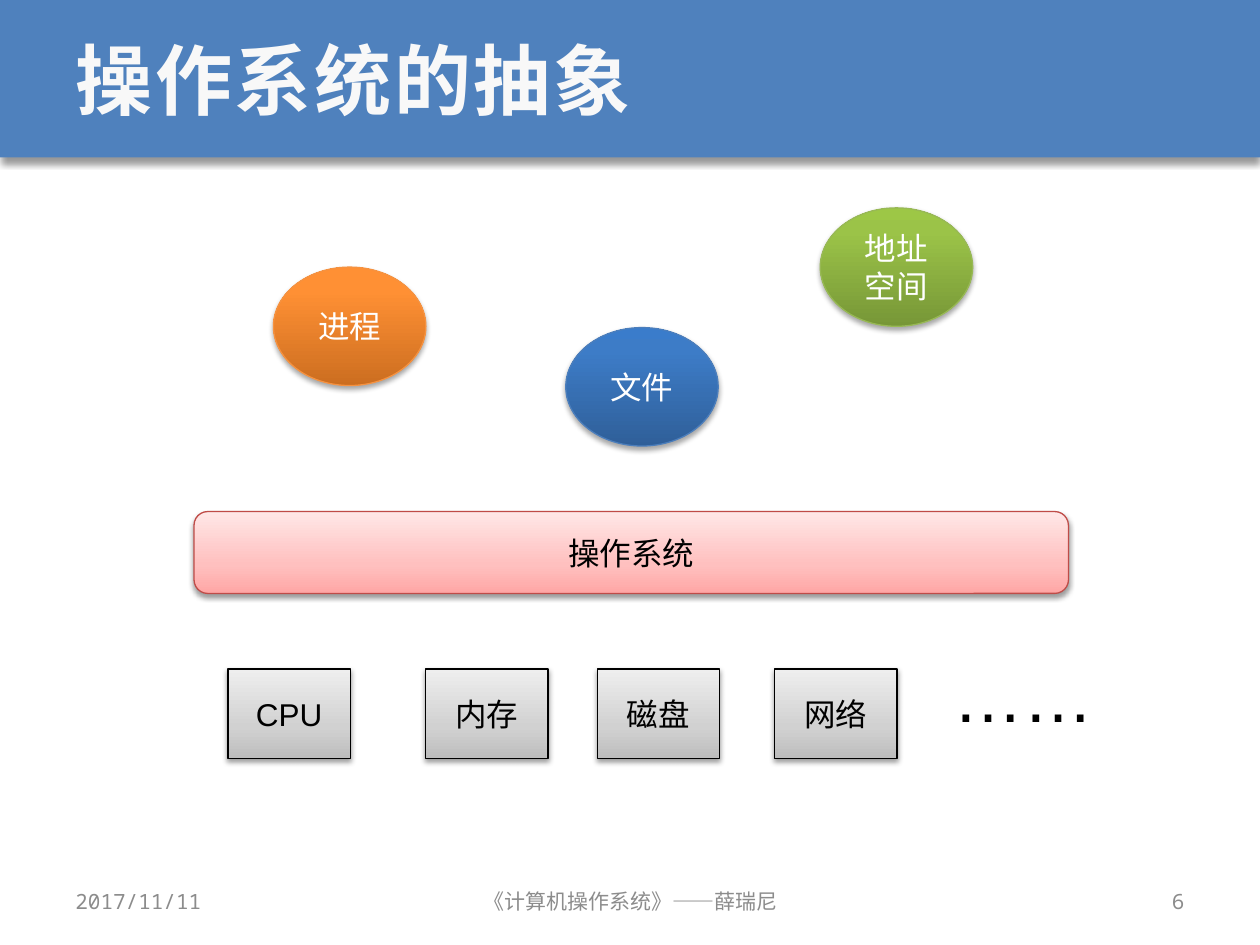
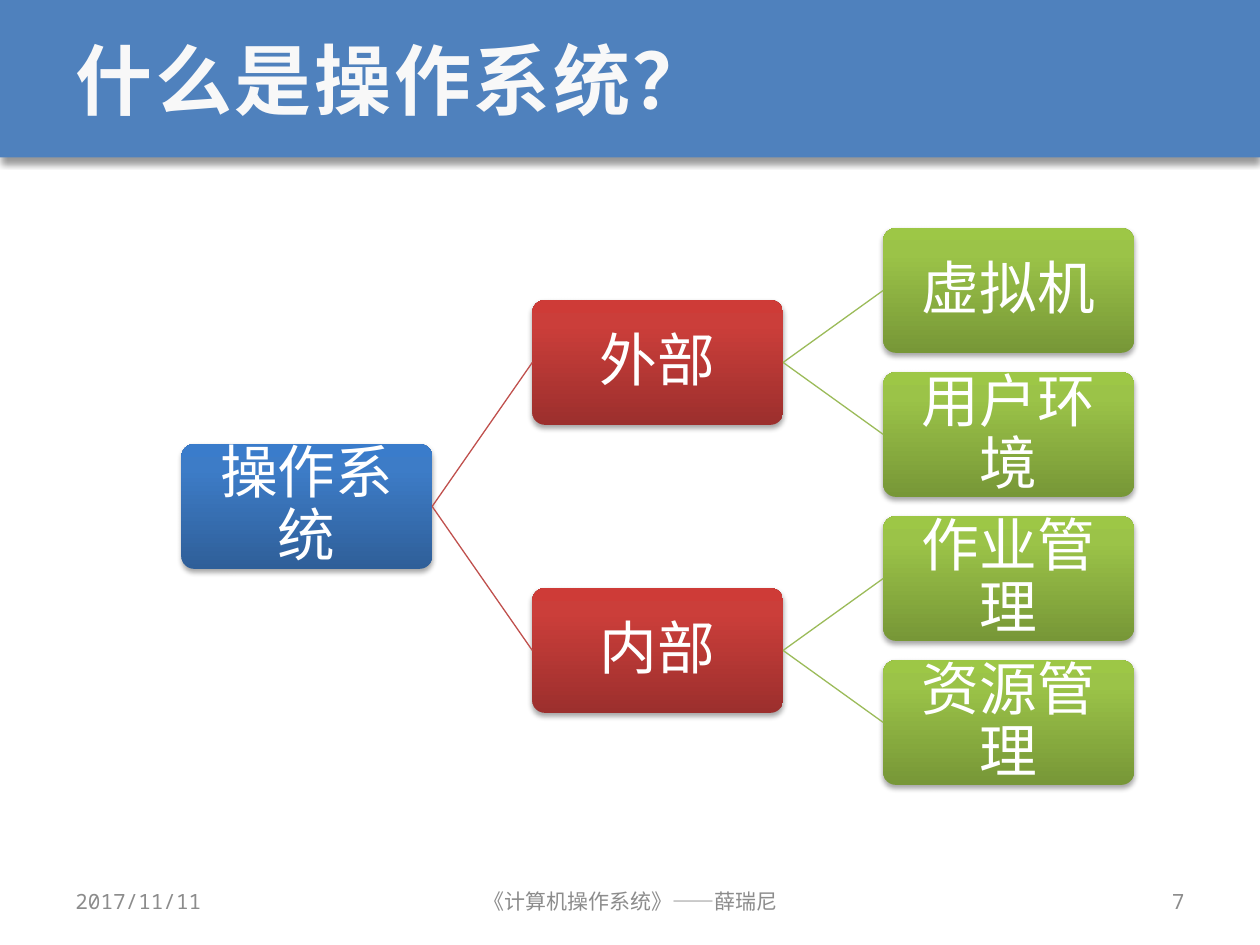
from lxml import etree
from pptx import Presentation
from pptx.dml.color import RGBColor
from pptx.enum.shapes import MSO_CONNECTOR, MSO_SHAPE
from pptx.enum.text import MSO_ANCHOR, MSO_AUTO_SIZE, PP_ALIGN
from pptx.oxml import parse_xml
from pptx.oxml.ns import nsdecls, qn
from pptx.util import Inches, Pt

RECT, ROUNDED, OVAL = MSO_SHAPE.RECTANGLE, MSO_SHAPE.ROUNDED_RECTANGLE, MSO_SHAPE.OVAL
LEFT, CENTER, RIGHT = PP_ALIGN.LEFT, PP_ALIGN.CENTER, PP_ALIGN.RIGHT
MIDDLE = MSO_ANCHOR.MIDDLE
STRAIGHT = MSO_CONNECTOR.STRAIGHT

# Content: shared frame
HEADING_FONT, BODY_FONT = "Noto Sans Mono", "Arial"
BAND_BLUE, TITLE_WHITE, FOOTER_GREY = "4F81BD", "F8F8F8", "8C8C8C"
WHITE, BLACK = "FFFFFF", "000000"
DATE, COURSE = "2017/11/11", "《计算机操作系统》——薛瑞尼"
FIRST_NUMBER = 6

# Gradients run from bottom to top: (position %, colour)
BLUE = [(0, "2F5F99"), (80, "3D7CC7"), (100, "3A7CCB")]
RED = [(0, "9C2F2D"), (80, "CB3E3A"), (100, "CE3B37")]
GREEN = [(0, "779737"), (80, "9BC348"), (100, "9DC746")]
ORANGE = [(0, "CC6E20"), (80, "FF9034"), (100, "FF9136")]
PINK = [(0, "FFA6A5"), (35, "FFC0BF"), (100, "FFE7E7")]
GREY = [(0, "BDBDBD"), (35, "D1D1D1"), (100, "EEEEEE")]

# Shadows: opacity %, blur pt, distance pt
BAND_SHADOW, STRONG_SHADOW, SOFT_SHADOW = (40, 4, 3), (35, 3.1, 1.8), (38, 3.1, 1.6)

# Content: abstractions above the system, hardware below it
ABSTRACTION_TITLE = "操作系统的抽象"
ABSTRACTIONS = [  # text, left, top, gradient, outline
    ("进程", 2.17, 2.12, ORANGE, "F69240"),
    ("文件", 4.49, 2.6, BLUE, "4B7EBC"),
    ("地址空间", 6.51, 1.65, GREEN, "98B955"),
]
SYSTEM = "操作系统"
HARDWARE = [("CPU", 1.81), ("内存", 3.38), ("磁盘", 4.74), ("网络", 6.15)]
MORE_HARDWARE = "……"

# Content: tree of views of the system
TREE_TITLE = "什么是操作系统？"
TREE = (SYSTEM, [
    ("外部", [("虚拟机", []), ("用户环境", [])]),
    ("内部", [("作业管理", []), ("资源管理", [])]),
])
LEVEL_GRADIENTS = [BLUE, RED, GREEN]
BRANCH_COLORS = [None, "C0504D", "9BBB59"]
TREE_LEFT, TREE_TOP = 1.44, 1.81
LEVEL_STEP, LEAF_STEP = 2.785, 1.143
NODE_SIZE = (1.99, 0.99)


def rgb(value):
    return RGBColor.from_string(value)


def write(shape, text, size, color, font=BODY_FONT, align=CENTER, anchor=MIDDLE):
    frame = shape.text_frame
    frame.text = text
    frame.word_wrap = True
    frame.vertical_anchor = anchor
    paragraph = frame.paragraphs[0]
    paragraph.alignment = align
    paragraph.font.size = Pt(size)
    paragraph.font.name = font
    paragraph.font.color.rgb = rgb(color)
    return paragraph


def set_gradient(shape, stops):
    gradient = parse_xml(
        f'<a:gradFill {nsdecls("a")} rotWithShape="1"><a:gsLst/>'
        '<a:lin ang="16200000" scaled="0"/></a:gradFill>')
    for position, color in stops:
        stop = etree.SubElement(gradient[0], qn("a:gs"), pos=str(position * 1000))
        etree.SubElement(stop, qn("a:srgbClr"), val=color)
    shape._element.spPr.find(qn("a:prstGeom")).addnext(gradient)


def set_shadow(shape, opacity, blur, distance):
    shape.shadow.inherit = False
    effects = shape._element.spPr.find(qn("a:effectLst"))
    shadow = etree.SubElement(
        effects, qn("a:outerShdw"), blurRad=str(Pt(blur)), dist=str(Pt(distance)),
        dir="5400000", rotWithShape="0")
    color = etree.SubElement(shadow, qn("a:srgbClr"), val=BLACK)
    etree.SubElement(color, qn("a:alpha"), val=str(opacity * 1000))


def add_block(slide, kind, box, fill, shadow, outline=None):
    """Add a shape; fill is one colour or a list of gradient stops."""
    block = slide.shapes.add_shape(kind, *map(Inches, box))
    if isinstance(fill, str):
        block.fill.solid()
        block.fill.fore_color.rgb = rgb(fill)
    else:
        set_gradient(block, fill)
    if outline:
        block.line.color.rgb = rgb(outline)
        block.line.width = Pt(0.75)
    else:
        block.line.fill.background()
    set_shadow(block, *shadow)
    return block


def add_slide(deck, heading):
    slide = deck.slides.add_slide(deck.slide_layouts[5])
    # Title band, sent behind the title
    band = add_block(slide, RECT, (0, 0, 10, 1.25), BAND_BLUE, BAND_SHADOW)
    slide.shapes._spTree.insert(2, band._element)
    title = slide.shapes.title
    title.left, title.top, title.width, title.height = map(Inches, (0.5, 0, 9, 1.25))
    paragraph = write(title, heading, 44, TITLE_WHITE, HEADING_FONT, LEFT)
    title.text_frame.auto_size = MSO_AUTO_SIZE.NONE
    paragraph.font.bold = True
    paragraph.runs[0]._r.get_or_add_rPr().set("spc", "150")
    # Footer
    number = str(FIRST_NUMBER + len(deck.slides) - 1)
    for text, left, width, align in [
            (DATE, 0.5, 2.33, LEFT), (COURSE, 3.42, 3.17, CENTER), (number, 7.17, 2.33, RIGHT)]:
        footer = slide.shapes.add_textbox(*map(Inches, (left, 6.95, width, 0.4)))
        write(footer, text, 12, FOOTER_GREY, HEADING_FONT, align)
    return slide


def add_abstraction_slide(deck):
    slide = add_slide(deck, ABSTRACTION_TITLE)
    for text, left, top, gradient, outline in ABSTRACTIONS:
        oval = add_block(slide, OVAL, (left, top, 1.21, 0.94), gradient, STRONG_SHADOW, outline)
        write(oval, text, 18, WHITE)
    system = add_block(slide, ROUNDED, (1.54, 4.06, 6.94, 0.65), PINK, SOFT_SHADOW, "BF4C48")
    write(system, SYSTEM, 18, BLACK)
    for text, left in HARDWARE:
        device = add_block(slide, RECT, (left, 5.31, 0.97, 0.71), GREY, SOFT_SHADOW, BLACK)
        write(device, text, 18, BLACK)
    more = slide.shapes.add_textbox(*map(Inches, (7.47, 5.13, 1.32, 0.77)))
    write(more, MORE_HARDWARE, 40, BLACK, align=LEFT, anchor=MSO_ANCHOR.TOP)
    more.text_frame.word_wrap = False


def add_branch(slide, parent, child, color):
    branch = slide.shapes.add_connector(STRAIGHT, 0, 0, 0, 0)
    branch.begin_connect(parent, 3)
    branch.end_connect(child, 1)
    branch.line.color.rgb = rgb(color)
    branch.line.width = Pt(0.75)
    etree.SubElement(branch._element.spPr, qn("a:effectLst"))


def add_node(slide, node, level=0, first_leaf=0):
    """Draw a subtree; return its root shape, its row and its leaf count."""
    text, children = node
    leaves, rows, child_shapes = 0, [], []
    for child in children:
        shape, row, count = add_node(slide, child, level + 1, first_leaf + leaves)
        child_shapes.append(shape)
        rows.append(row)
        leaves += count
    row = sum(rows) / len(rows) if rows else first_leaf
    place = (TREE_LEFT + level * LEVEL_STEP, TREE_TOP + row * LEAF_STEP)
    block = add_block(slide, ROUNDED, place + NODE_SIZE, LEVEL_GRADIENTS[level], STRONG_SHADOW)
    block.adjustments[0] = 0.1
    write(block, text, 33, WHITE).line_spacing = 0.9
    frame = block.text_frame
    frame.margin_left = frame.margin_right = Inches(0.05)
    frame.margin_top = frame.margin_bottom = Inches(0.05)
    for shape in child_shapes:
        add_branch(slide, block, shape, BRANCH_COLORS[level + 1])
    return block, row, leaves or 1


def main():
    deck = Presentation()
    deck.slide_width, deck.slide_height = Inches(10), Inches(7.5)
    add_abstraction_slide(deck)
    add_node(add_slide(deck, TREE_TITLE), TREE)
    deck.save("out.pptx")


if __name__ == "__main__":
    main()
